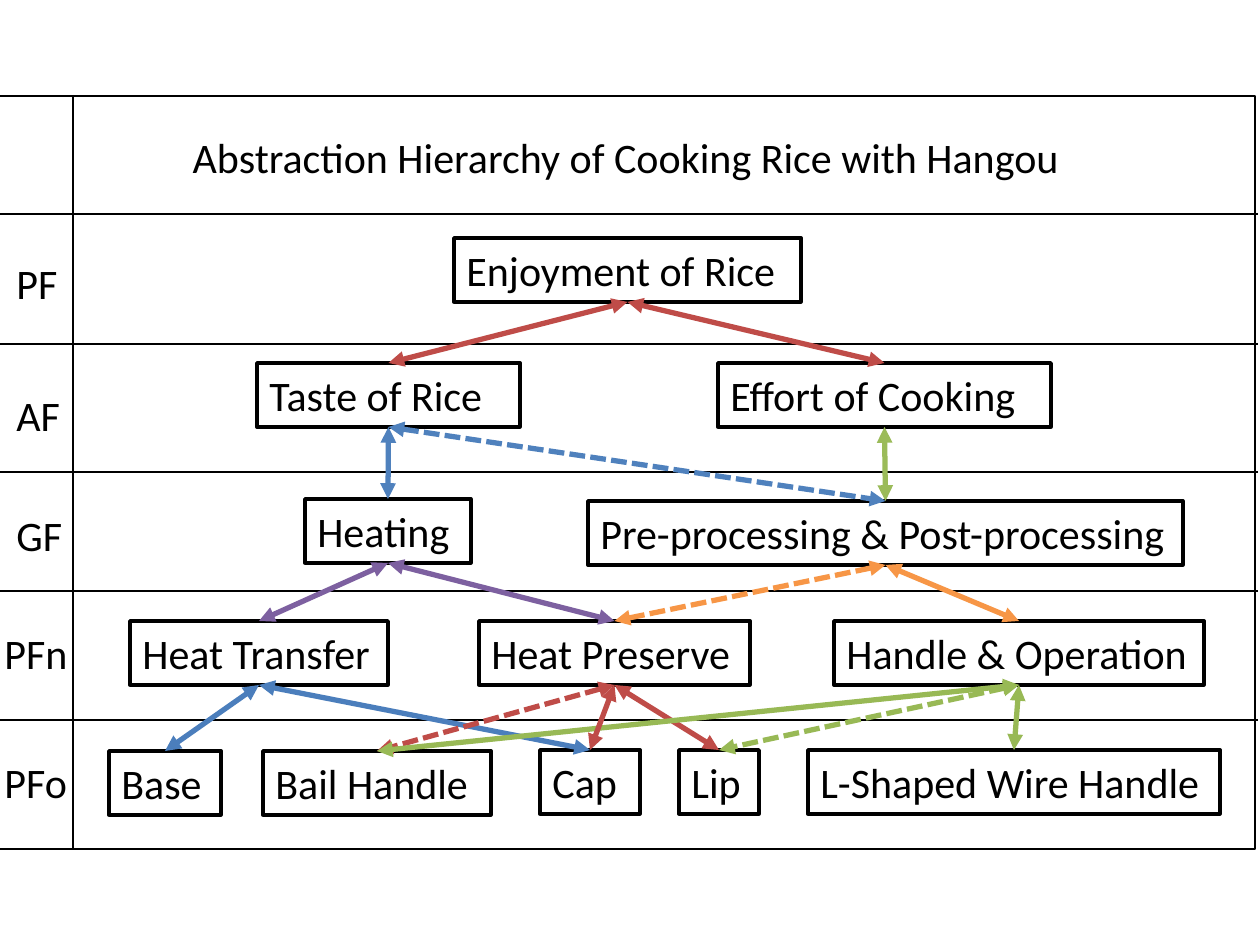
from lxml.etree import SubElement
from pptx import Presentation
from pptx.dml.color import RGBColor
from pptx.enum.dml import MSO_LINE
from pptx.enum.shapes import MSO_CONNECTOR, MSO_SHAPE
from pptx.enum.text import MSO_ANCHOR, MSO_AUTO_SIZE, PP_ALIGN
from pptx.oxml.ns import qn
from pptx.util import Emu, Pt

EMU_PER_PX = 914400 / 126
BOX_HEIGHT = 64
BOTTOM, TOP = 2, 0

BLACK = RGBColor(0x00, 0x00, 0x00)
WHITE = RGBColor(0xFF, 0xFF, 0xFF)
BLUE = RGBColor(0x4B, 0x7E, 0xBC)
LIGHT_BLUE = RGBColor(0x4F, 0x81, 0xBD)
RED = RGBColor(0xBF, 0x4C, 0x48)
GREEN = RGBColor(0x98, 0xB9, 0x55)
LIGHT_GREEN = RGBColor(0x9B, 0xBB, 0x59)
PURPLE = RGBColor(0x7D, 0x60, 0xA0)
ORANGE = RGBColor(0xF7, 0x96, 0x46)

TITLE = "Abstraction Hierarchy of Cooking Rice with Hangou"
ROW_LINES = [214, 344, 472, 591, 720]
LEVELS = [
    ("PF", 4, 251, 74),
    ("AF", 4, 383, 74),
    ("GF", 4, 503, 74),
    ("PFn", -8, 621, 96),
    ("PFo", -8, 750, 97),
]
NODES = [
    ("Enjoyment of Rice", 454, 238, 347),
    ("Taste of Rice", 257, 363, 263),
    ("Effort of Cooking", 718, 363, 333),
    ("Heating", 305, 499, 166),
    ("Pre-processing & Post-processing", 588, 501, 595),
    ("Heat Transfer", 130, 621, 258),
    ("Heat Preserve", 479, 621, 271),
    ("Handle & Operation", 834, 621, 370),
    ("Base", 109, 751, 112),
    ("Bail Handle", 263, 751, 228),
    ("Cap", 540, 750, 100),
    ("Lip", 679, 750, 80),
    ("L-Shaped Wire Handle", 808, 750, 412),
]
SOLID, DASHED = None, MSO_LINE.SQUARE_DOT
LINKS = [
    ("Heat Transfer", "Base", BLUE, SOLID),
    ("Heat Transfer", "Cap", BLUE, SOLID),
    ("Heat Preserve", "Lip", RED, SOLID),
    ("Heat Preserve", "Bail Handle", RED, DASHED),
    ("Handle & Operation", "Bail Handle", GREEN, SOLID),
    ("Handle & Operation", "L-Shaped Wire Handle", GREEN, SOLID),
    ("Heating", "Heat Transfer", PURPLE, SOLID),
    ("Heating", "Heat Preserve", PURPLE, SOLID),
    ("Pre-processing & Post-processing", "Handle & Operation", ORANGE, SOLID),
    ("Pre-processing & Post-processing", "Heat Preserve", ORANGE, DASHED),
    ("Taste of Rice", "Heating", LIGHT_BLUE, SOLID),
    ("Effort of Cooking", "Pre-processing & Post-processing", LIGHT_GREEN, SOLID),
    ("Enjoyment of Rice", "Taste of Rice", RED, SOLID),
    ("Enjoyment of Rice", "Effort of Cooking", RED, SOLID),
    ("Handle & Operation", "Lip", GREEN, DASHED),
    ("Heat Preserve", "Cap", RED, SOLID),
    ("Taste of Rice", "Pre-processing & Post-processing", LIGHT_BLUE, DASHED),
]


def px(length):
    """Turn pixels into EMU."""
    return Emu(round(length * EMU_PER_PX))


def write_text(shape, text):
    """Put one line of left-aligned black text at the top of a shape."""
    frame = shape.text_frame
    frame.text = text
    frame.word_wrap = True
    frame.auto_size = MSO_AUTO_SIZE.SHAPE_TO_FIT_TEXT
    frame.vertical_anchor = MSO_ANCHOR.TOP
    para = frame.paragraphs[0]
    para.alignment = PP_ALIGN.LEFT
    font = para.runs[0].font
    font.name = "Calibri"
    font.size = Pt(24)
    font.color.rgb = BLACK


def add_rectangle(page, left, top, width, height, line_width):
    """Add a white rectangle with a black outline."""
    box = page.shapes.add_shape(
        MSO_SHAPE.RECTANGLE, px(left), px(top), px(width), px(height)
    )
    box.shadow.inherit = False
    box.fill.solid()
    box.fill.fore_color.rgb = WHITE
    box.line.color.rgb = BLACK
    box.line.width = Pt(line_width)
    return box


def add_node(page, text, left, top, width):
    """Add a labelled box of the hierarchy."""
    box = add_rectangle(page, left, top, width, BOX_HEIGHT, 2)
    write_text(box, text)
    return box


def add_level(page, text, left, top, width):
    """Add the label of one abstraction level."""
    label = page.shapes.add_textbox(px(left), px(top), px(width), px(BOX_HEIGHT))
    write_text(label, text)


def add_line(page, start, end, color, width):
    """Add a straight line without a shadow."""
    line = page.shapes.add_connector(
        MSO_CONNECTOR.STRAIGHT, *(px(value) for value in (*start, *end))
    )
    line.line.color.rgb = color
    line.line.width = Pt(width)
    SubElement(line.element.spPr, qn("a:effectLst"))
    return line


def add_link(page, upper, lower, color, dash):
    """Join two boxes with a double-headed arrow."""
    link = add_line(page, (0, 0), (0, 0), color, 3)
    link.begin_connect(upper, BOTTOM)
    link.end_connect(lower, TOP)
    if dash:
        link.line.dash_style = dash
    outline = link.element.spPr.find(qn("a:ln"))
    for end in ("a:headEnd", "a:tailEnd"):
        SubElement(outline, qn(end), type="triangle")


def add_title(page, frame):
    """Place the title in the top row, in front of the frame."""
    title = page.shapes.title
    title.left, title.top = px(180), px(125)
    title.width, title.height = px(894), px(BOX_HEIGHT)
    write_text(title, TITLE)
    frame.element.addnext(title.element)


def main():
    """Build the abstraction hierarchy slide."""
    deck = Presentation()
    deck.slide_width, deck.slide_height = px(1260), px(945)
    page = deck.slides.add_slide(deck.slide_layouts[5])

    frame = add_rectangle(page, -5, 96, 1260, 753, 1.5)
    add_title(page, frame)
    for y in ROW_LINES:
        add_line(page, (-2, y), (1258, y), BLACK, 1.5)
    add_line(page, (73, 95), (73, 849), BLACK, 1.5)

    for level in LEVELS:
        add_level(page, *level)
    nodes = {node[0]: add_node(page, *node) for node in NODES}
    for upper, lower, color, dash in LINKS:
        add_link(page, nodes[upper], nodes[lower], color, dash)

    deck.save("out.pptx")


if __name__ == "__main__":
    main()
